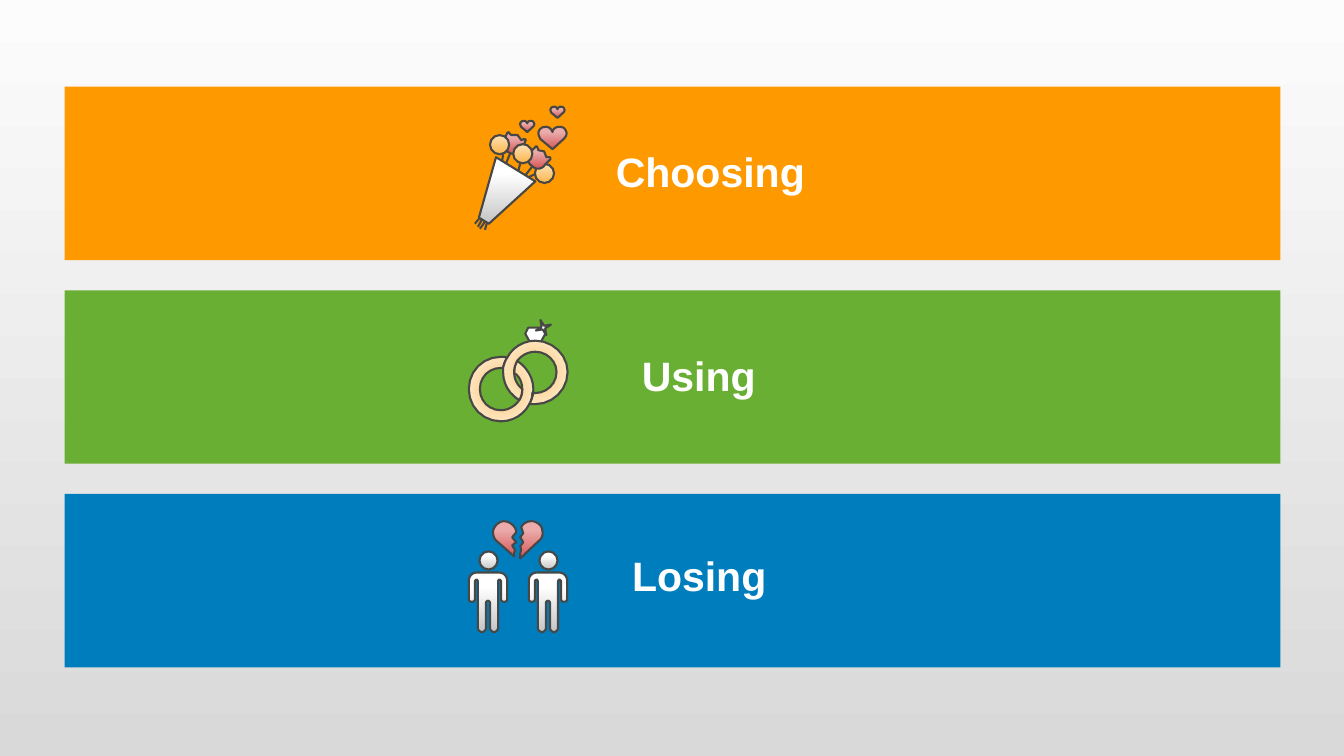
import pptx
import pptx.util
import pptx.dml.color
import pptx.enum.shapes
import pptx.enum.text
import pptx.oxml.ns
from lxml import etree

WIDE, HIGH = 13.33, 7.5
LEFT, TOP, WIDTH, HEIGHT, PITCH = 0.64, 0.86, 12.06, 1.72, 2.02
INK = "474746"

# fill, label, label left, label width, label drop below the band's top
BANDS = [
    ("FF9900", "Choosing", 6.0, 2.09, 0.54),
    ("69AF34", "Using", 6.26, 1.34, 0.55),
    ("007DBC", "Losing", 6.16, 1.55, 0.51),
]

# colour stops as (percent, colour); "round" marks a radial fade
SKY = [(0, "FCFCFC"), (100, "D9D9D9")]
PINK = [(24, "EBABAB"), (100, "D65757")]
PAPER = [(24, "FFFFFF"), (100, "C5C5C5")]
PEACH = [(0, "FEE2B7"), (100, "FCB64C")]
GOLD = [(27, "FDD394"), (100, "FEF0DB"), "round"]

# Outlines use hundredths of an inch; C takes the next three points as a curve.
HEART = ("14,5 C 14,2 18,-1 22,0 C 25,0 27,2 28,6 C 28,8 27,10 25,12 14,22 2,12 "
         "C 1,10 0,8 0,6 C 0,3 3,0 6,0 C 10,-1 13,2 14,5")
TULIP_A = ("500,139 C 498,144 501,150 506,152 C 511,154 516,151 519,146 521,140 "
           "C 522,139 521,138 520,138 517,139 514,135 C 514,134 513,134 512,134 "
           "507,134 505,132 C 505,131 504,131 503,132")
TULIP_B = ("526,151 C 522,156 523,162 528,165 C 532,169 538,168 541,163 546,158 "
           "C 546,157 546,156 545,156 542,156 540,151 C 540,150 539,150 538,150 "
           "534,149 533,146 C 533,145 531,145 531,146")
WRAP = "475,216 492,156 531,180 485,222"
GEM = "536,340 526,340 521,331 524,325 538,325 541,331"
RING_A = ("510,370 C 510,370 510,370 510,369 C 510,365 511,362 513,358 "
          "C 522,364 529,374 529,386 C 529,387 529,389 528,390 C 528,394 527,398 525,401 "
          "C 520,411 509,418 497,418 C 479,418 465,404 465,386 C 465,368 479,354 497,354 "
          "C 499,354 501,354 503,355 C 501,358 500,361 499,365 C 498,365 498,365 497,365 "
          "C 485,365 476,374 476,386 C 476,398 485,407 497,407 C 504,407 511,403 515,397 "
          "C 517,394 518,390 518,386 C 518,379 515,373 510,370")
RING_B = ("518,386 C 513,382 510,376 510,370 510,369 C 510,365 511,362 513,358 "
          "C 517,353 523,349 531,349 C 542,349 552,358 552,369 C 552,381 542,390 531,390 "
          "C 530,390 529,390 529,390 C 528,394 527,398 525,401 C 527,401 529,401 531,401 "
          "C 548,401 563,387 563,369 C 563,352 548,338 531,338 C 519,338 508,345 503,355 "
          "C 501,358 500,361 499,365 C 499,367 499,368 499,369 C 499,381 505,391 515,397 "
          "C 517,394 518,390 518,386")
BREAK_A = ("512,527 C 511,521 505,517 499,517 C 494,518 490,522 489,527 "
           "C 489,531 490,535 493,537 510,552 510,548 511,546 508,541 512,538 508,533 512,528")
BREAK_B = ("516,554 534,537 C 537,535 539,531 538,527 C 538,522 534,518 528,517 "
           "C 523,517 519,519 517,523 519,529 516,533 519,538 516,542 517,545 516,549")
# left half of a figure, measured from its middle line
HALF = ("0,596 C -1,596 -2,597 -2,598 -2,623 C -2,625 -4,627 -6,627 "
        "C -8,627 -10,625 -10,623 -10,577 C -10,576 -11,575 -11,575 "
        "C -12,575 -13,576 -13,577 -13,594 C -13,596 -14,597 -16,597 "
        "C -18,597 -19,596 -19,594 -19,576 C -19,572 -16,568 -11,568")
FOLK = (484, 543.5)


def trace(text, steps=6):
    """Turn an outline into points, with each curve cut into short steps."""
    pts = []
    for nth, part in enumerate(text.split("C")):
        spots = [tuple(map(float, pair.split(","))) for pair in part.split()]
        if nth:
            (p, q, r), start = spots[:3], pts[-1]
            for step in range(1, steps + 1):
                t = step / steps
                u = 1 - t
                pts.append(tuple(u**3 * a + 3 * u * u * t * b + 3 * u * t * t * c + t**3 * d
                                 for a, b, c, d in zip(start, p, q, r)))
            spots = spots[3:]
        pts += spots
    return pts


def heart(left, top, size=1):
    return [(left + x * size, top + y * size) for x, y in trace(HEART)]


def figure(mid):
    half = trace(HALF)
    return [(mid + x, y) for x, y in half] + [(mid - x, y) for x, y in half[::-1]]


# Each part is (kind, fill, data): outline points, box or line ends, back to front.
BOUQUET = [
    ("form", PINK, heart(534, 126)),
    ("form", PINK, trace(TULIP_A)),
    ("stem", None, (506, 152, 502, 162)),
    ("form", PAPER, trace(WRAP)),
    ("oval", PEACH, (530.5, 162.5, 19, 19)),
    ("form", PINK, trace(TULIP_B)),
    ("stem", None, (528, 165, 521, 174)),
    ("stem", None, (530, 173, 524, 176)),
    ("oval", PEACH, (509, 143, 19, 19)),
    ("stem", None, (516, 162, 514, 170)),
    ("oval", PEACH, (486, 134, 19, 19)),
    ("stem", None, (499, 153, 498, 160)),
    ("form", PINK, heart(516, 120, 0.5)),
    ("form", PINK, heart(546, 106, 0.5)),
    ("stem", None, (483, 221, 481, 228)),
    ("stem", None, (481, 220, 476, 227)),
    ("stem", None, (478, 218, 474, 225)),
    ("stem", None, (476, 216, 471, 222)),
]
RINGS = [
    ("form", "FFFFFF", trace(GEM)),
    ("form", GOLD, trace(RING_A)),
    ("form", GOLD, trace(RING_B)),
    ("star", "FFFFFF", (531, 317, 16, 16)),
]
PARTING = [("form", PINK, trace(BREAK_A)), ("form", PINK, trace(BREAK_B))]
PARTING += [("form", PAPER, figure(mid)) for mid in FOLK]
PARTING += [("oval", PAPER, (mid - 8.5, 547, 18, 18)) for mid in FOLK]


def rgb(code):
    return pptx.dml.color.RGBColor.from_string(code)


def fade(fill, stops):
    fill.gradient()
    fill.gradient_angle = 270
    for stop, (share, code) in zip(fill.gradient_stops, stops):
        stop.position = share / 100
        stop.color.rgb = rgb(code)


def paint(shape, look):
    shape.shadow.inherit = False
    if isinstance(look, str):
        shape.fill.solid()
        shape.fill.fore_color.rgb = rgb(look)
        return
    fade(shape.fill, look)
    if "round" in look:
        qn = pptx.oxml.ns.qn
        grad = shape.element.spPr.find(qn("a:gradFill"))
        grad.remove(grad.find(qn("a:lin")))
        ring = etree.SubElement(grad, qn("a:path"), {"path": "circle"})
        etree.SubElement(ring, qn("a:fillToRect"), dict.fromkeys("ltrb", "50000"))


def draw(shapes, kind, look, data):
    """Add one icon part with its dark outline."""
    kinds = pptx.enum.shapes.MSO_SHAPE
    if kind == "form":
        pts = [(x * 9144, y * 9144) for x, y in data]
        pen = shapes.build_freeform(*pts[0])
        pen.add_line_segments(pts[1:], close=True)
        part = pen.convert_to_shape()
    else:
        box = [pptx.util.Inches(n / 100) for n in data]
        if kind == "stem":
            part = shapes.add_connector(pptx.enum.shapes.MSO_CONNECTOR.STRAIGHT, *box)
        else:
            part = shapes.add_shape(kinds.OVAL if kind == "oval" else kinds.STAR_4_POINT, *box)
    if kind == "star":
        part.rotation = 338.7
    part.line.color.rgb = rgb(INK)
    part.line.width = pptx.util.Pt(1.5)
    if kind == "stem":
        etree.SubElement(part.element.spPr, pptx.oxml.ns.qn("a:effectLst"))
    else:
        paint(part, look)


def label(shapes, text, *box):
    frame = shapes.add_textbox(*map(pptx.util.Inches, box)).text_frame
    frame.text = text
    frame.word_wrap = False
    frame.auto_size = pptx.enum.text.MSO_AUTO_SIZE.SHAPE_TO_FIT_TEXT
    line = frame.paragraphs[0]
    line.alignment = pptx.enum.text.PP_ALIGN.CENTER
    font = line.runs[0].font
    font.name, font.size, font.bold = "Arial", pptx.util.Pt(29.3), True
    font.color.rgb = rgb("FFFFFF")


def main():
    deck = pptx.Presentation()
    deck.slide_width, deck.slide_height = map(pptx.util.Inches, (WIDE, HIGH))
    slide = deck.slides.add_slide(deck.slide_layouts[6])
    fade(slide.background.fill, SKY)
    bars = slide.shapes.add_group_shape().shapes
    for row, (code, text, left, width, drop) in enumerate(BANDS):
        top = TOP + row * PITCH
        box = map(pptx.util.Inches, (LEFT, top, WIDTH, HEIGHT))
        bar = bars.add_shape(pptx.enum.shapes.MSO_SHAPE.RECTANGLE, *box)
        paint(bar, code)
        bar.line.fill.background()
        label(slide.shapes, text, left, top + drop, width, 0.59)
    for icon in (BOUQUET, RINGS, PARTING):
        group = slide.shapes.add_group_shape().shapes
        for part in icon:
            draw(group, *part)
    deck.save("out.pptx")


if __name__ == "__main__":
    main()
